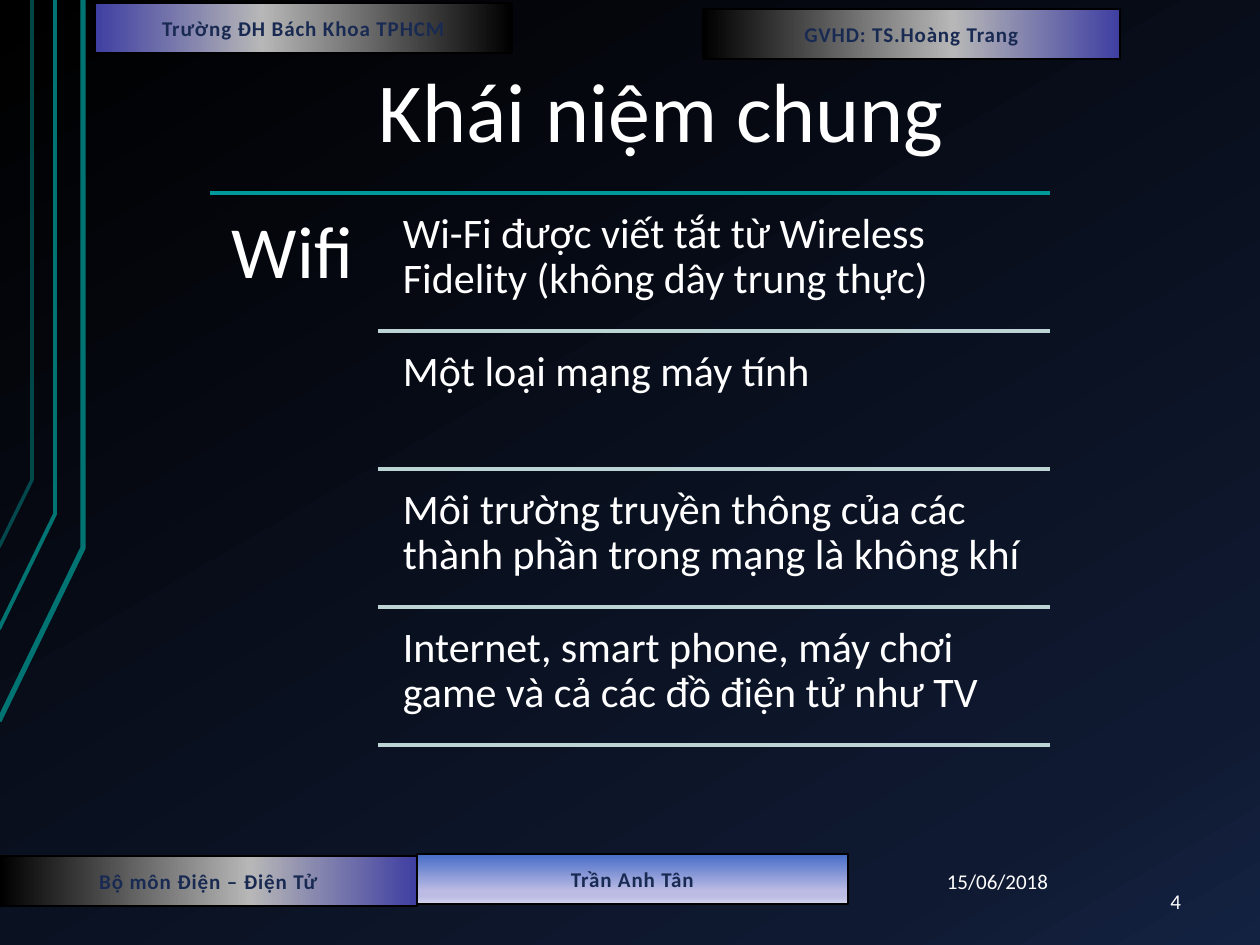
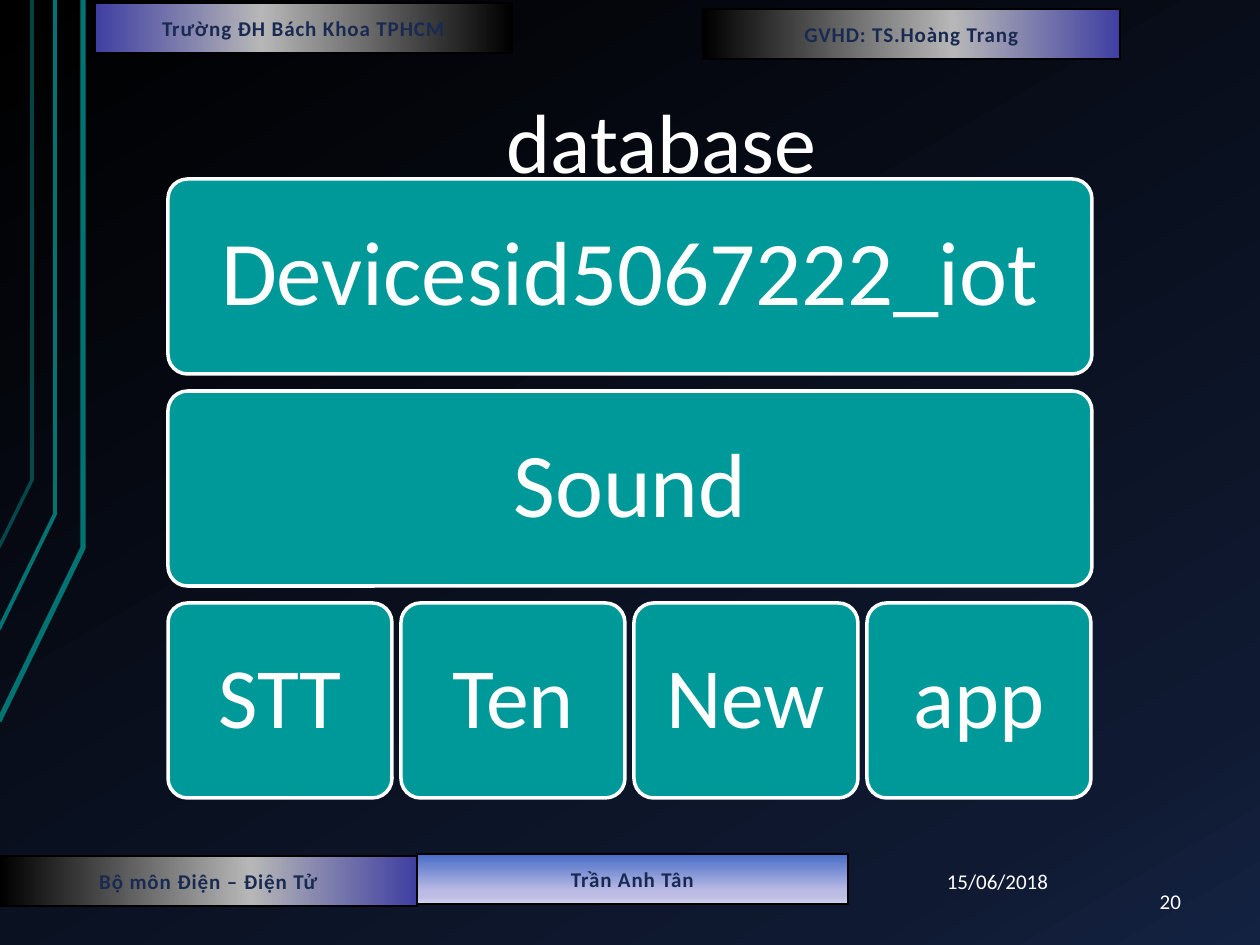
"""Build two lecture slides: the Wifi concept list and the database structure."""
import copy
import dataclasses

import pptx
import pptx.dml.color
import pptx.enum.shapes
import pptx.enum.text
import pptx.util
from lxml import etree
from pptx.oxml.ns import qn

RGB = pptx.dml.color.RGBColor.from_string
ALIGN = pptx.enum.text.PP_ALIGN
ANCHOR = pptx.enum.text.MSO_ANCHOR
SHAPE = pptx.enum.shapes.MSO_SHAPE
PX = 914400 // 126


@dataclasses.dataclass(frozen=True)
class Theme:
    font: str = "Calibri"
    light: str = "FFFFFF"
    navy: str = "192A52"
    edge: str = "000000"
    teal: str = "009999"
    circuit: str = "007373"
    rule: str = "BDD4D4"
    backdrop: tuple = ((0, "000000"), (85, "0F1931"), (100, "142242"))
    metal: tuple = ((0, "3F3FA2"), (40, "B7B7B7"), (100, "000000"))
    sky: tuple = ((0, "466CC7"), (74, "BBBBE4"), (83, "BBBBE4"), (100, "D2D2ED"))
    title: int = 48
    small: int = 12
    topic: int = 42
    point: int = 24
    card: int = 52
    column: int = 49


THEME = Theme()


def write_text(shape, text, *, size, color=THEME.light, bold=False, align=ALIGN.LEFT,
               anchor=ANCHOR.MIDDLE, inset=(16, 9), leading=None, tracking=None):
    frame = shape.text_frame
    frame.word_wrap = True
    frame.auto_size = pptx.enum.text.MSO_AUTO_SIZE.NONE
    frame.vertical_anchor = anchor
    frame.margin_left = frame.margin_right = inset[0] * PX
    frame.margin_top = frame.margin_bottom = inset[1] * PX
    paragraph = frame.paragraphs[0]
    paragraph.alignment = align
    paragraph.line_spacing = leading
    run = paragraph.add_run()
    run.text = text
    run.font.name = THEME.font
    run.font.size = pptx.util.Pt(size)
    run.font.bold = bold
    run.font.color.rgb = RGB(color)
    if tracking:
        run.font._element.set("spc", str(tracking))


def paint_gradient(fill, stops, angle):
    fill.gradient()
    fill.gradient_angle = -angle % 360
    first = fill.gradient_stops[0]._gs
    for _ in stops[2:]:
        first.addnext(copy.deepcopy(first))
    for stop, (percent, color) in zip(fill.gradient_stops, stops):
        stop.position = percent / 100
        stop.color.rgb = RGB(color)


deck = pptx.Presentation()
deck.slide_width = 1260 * PX
deck.slide_height = 945 * PX
paint_gradient(deck.slide_master.background.fill, THEME.backdrop, 60)

circuits = [
    ([(-1, 721), (83, 548), (83, 0)], 3, 100),
    ([(-1, 629), (55, 514), (55, 0)], 2.25, 100),
    ([(-1, 547), (32, 480), (32, 0)], 2, 60),
]
bands = [
    ("Trần Anh Tân", (417, 854, 431, 50), THEME.sky, 90),
    ("Bộ môn Điện – Điện Tử", (0, 856, 417, 50), THEME.metal, 180),
    ("Trường ĐH Bách Khoa TPHCM", (95, 3, 417, 50), THEME.metal, 0),
    ("GVHD: TS.Hoàng Trang", (703, 9, 417, 50), THEME.metal, 180),
]

for heading, heading_height, number in [("Khái niệm chung", 130, "4"), ("database", 161, "20")]:
    slide = deck.slides.add_slide(deck.slide_layouts[5])
    title = slide.shapes.title
    title.left, title.top, title.width, title.height = (
        length * PX for length in (126, 38, 1071, heading_height))
    write_text(title, heading, size=THEME.title, align=ALIGN.CENTER, anchor=ANCHOR.BOTTOM)

    for points, weight, opacity in circuits:
        builder = slide.shapes.build_freeform(*points[0], scale=PX)
        builder.add_line_segments(points[1:], close=False)
        circuit = builder.convert_to_shape()
        circuit.shadow.inherit = False
        circuit.fill.background()
        circuit.line.color.rgb = RGB(THEME.circuit)
        circuit.line.width = pptx.util.Pt(weight)
        if opacity < 100:
            tint = circuit.line._ln.find(".//" + qn("a:srgbClr"))
            etree.SubElement(tint, qn("a:alpha")).set("val", str(opacity * 1000))

    for label, box, stops, angle in bands:
        band = slide.shapes.add_shape(SHAPE.RECTANGLE, *(length * PX for length in box))
        band.shadow.inherit = False
        paint_gradient(band.fill, stops, angle)
        band.line.color.rgb = RGB(THEME.edge)
        band.line.width = pptx.util.Pt(0.75)
        write_text(band, label, size=THEME.small, color=THEME.navy, bold=True,
                   align=ALIGN.CENTER, tracking=50)

    for note, box, align in [("15/06/2018", (851, 856, 293, 50), ALIGN.CENTER),
                             (number, (1092, 876, 105, 50), ALIGN.RIGHT)]:
        footer = slide.shapes.add_textbox(*(length * PX for length in box))
        write_text(footer, note, size=THEME.small, align=align)

concept, database = deck.slides

topic = concept.shapes.add_textbox(210 * PX, 193 * PX, 168 * PX, 559 * PX)
write_text(topic, "Wifi", size=THEME.topic, anchor=ANCHOR.TOP, inset=(22, 22), leading=0.9)

points = [
    "Wi-Fi được viết tắt từ Wireless Fidelity (không dây trung thực)",
    "Một loại mạng máy tính",
    "Môi trường truyền thông của các thành phần trong mạng là không khí",
    "Internet, smart phone, máy chơi game và cả các đồ điện tử như TV",
]
rules = [(210, 193, THEME.teal)]
for row, point in enumerate(points):
    rule_y = 331 + 138 * row
    rules.append((378, rule_y, THEME.rule))
    entry = concept.shapes.add_textbox(391 * PX, (rule_y - 131) * PX, 659 * PX, 131 * PX)
    write_text(entry, point, size=THEME.point, anchor=ANCHOR.TOP, inset=(12, 12), leading=0.9)

for start_x, y, color in rules:
    rule = concept.shapes.add_connector(
        pptx.enum.shapes.MSO_CONNECTOR.STRAIGHT, start_x * PX, y * PX, 1050 * PX, y * PX)
    rule.line.color.rgb = RGB(color)
    rule.line.width = pptx.util.Pt(2)
    etree.SubElement(rule._element.spPr, qn("a:effectLst"))

levels = [
    (["Devicesid5067222_iot"], 924, THEME.card),
    (["Sound"], 924, THEME.card),
    (["STT", "Ten", "New", "app"], 224, THEME.column),
]
for row, (names, width, size) in enumerate(levels):
    for column, name in enumerate(names):
        card = database.shapes.add_shape(
            SHAPE.ROUNDED_RECTANGLE, (168 + 233 * column) * PX, (179 + 212 * row) * PX,
            width * PX, 195 * PX)
        card.adjustments[0] = 0.1
        card.shadow.inherit = False
        card.fill.solid()
        card.fill.fore_color.rgb = RGB(THEME.teal)
        card.line.color.rgb = RGB(THEME.light)
        card.line.width = pptx.util.Pt(2)
        write_text(card, name, size=size, align=ALIGN.CENTER, inset=(12, 12), leading=0.9)

deck.save("out.pptx")
